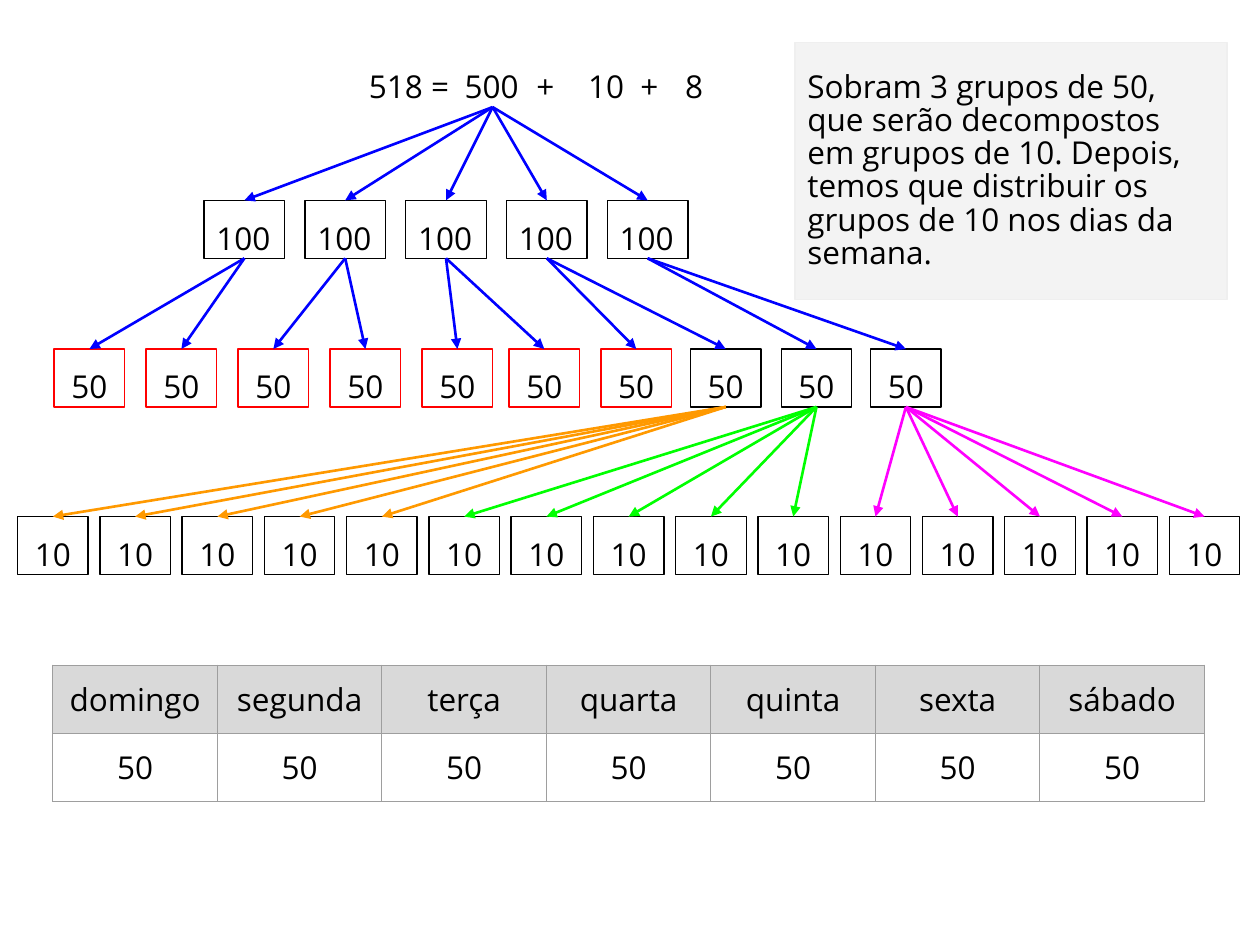
from dataclasses import dataclass
from typing import Optional

from lxml.etree import SubElement
from pptx import Presentation
from pptx.dml.color import RGBColor
from pptx.enum.shapes import MSO_CONNECTOR, MSO_SHAPE
from pptx.enum.text import MSO_ANCHOR, PP_ALIGN
from pptx.oxml.ns import qn
from pptx.util import Inches, Pt

BLACK = RGBColor(0x00, 0x00, 0x00)
RED = RGBColor(0xFF, 0x00, 0x00)
BLUE = RGBColor(0x00, 0x00, 0xFF)
ORANGE = RGBColor(0xFF, 0x99, 0x00)
GREEN = RGBColor(0x00, 0xFF, 0x00)
MAGENTA = RGBColor(0xFF, 0x00, 0xFF)
NOTE_FILL = RGBColor(0xF3, 0xF3, 0xF3)
NOTE_LINE = RGBColor(0xEF, 0xEF, 0xEF)
HEADER_FILL = RGBColor(0xD9, 0xD9, 0xD9)
GRID_LINE = RGBColor(0x9E, 0x9E, 0x9E)

FONT = "Open Sans"
BOX_HEIGHT = 0.46
SUM_TOP = 0.39
DAYS = ["domingo", "segunda", "terça", "quarta", "quinta", "sexta", "sábado"]


@dataclass
class Box:
    text: str
    left: float
    top: float
    width: float
    height: float = BOX_HEIGHT
    line: Optional[RGBColor] = None
    fill: Optional[RGBColor] = None

    @property
    def top_point(self) -> tuple[float, float]:
        return self.left + self.width / 2, self.top

    @property
    def bottom_point(self) -> tuple[float, float]:
        return self.left + self.width / 2, self.top + self.height


def write_text(frame, text: str, *, align=PP_ALIGN.LEFT, spacing: float = 1.15,
               anchor=MSO_ANCHOR.TOP) -> None:
    frame.word_wrap = True
    frame.vertical_anchor = anchor
    frame.margin_left = frame.margin_right = Inches(0.1)
    frame.margin_top = frame.margin_bottom = Inches(0.1)
    para = frame.paragraphs[0]
    para.alignment = align
    para.line_spacing = spacing
    span = para.add_run()
    span.text = text
    span.font.name = FONT
    span.font.size = Pt(18)
    span.font.color.rgb = BLACK


def draw_box(page, box: Box, **text_format) -> None:
    area = [Inches(n) for n in (box.left, box.top, box.width, box.height)]
    if box.line is None:
        shape = page.shapes.add_textbox(*area)
    else:
        shape = page.shapes.add_shape(MSO_SHAPE.RECTANGLE, *area)
        shape.shadow.inherit = False
        shape.line.color.rgb = box.line
        shape.line.width = Pt(0.75)
        if box.fill is None:
            shape.fill.background()
        else:
            shape.fill.solid()
            shape.fill.fore_color.rgb = box.fill
    write_text(shape.text_frame, box.text, **text_format)


def draw_arrow(page, start: Box, end: Box, color: RGBColor) -> None:
    points = [Inches(n) for n in (*start.bottom_point, *end.top_point)]
    arrow = page.shapes.add_connector(MSO_CONNECTOR.STRAIGHT, *points)
    arrow.line.color.rgb = color
    arrow.line.width = Pt(1.5)
    SubElement(arrow.line._get_or_add_ln(), qn("a:tailEnd"), type="triangle")
    SubElement(arrow._element.spPr, qn("a:effectLst"))


def draw_cell_borders(cell) -> None:
    properties = cell._tc.get_or_add_tcPr()
    for position, side in enumerate(("a:lnL", "a:lnR", "a:lnT", "a:lnB")):
        line = SubElement(properties, qn(side), w=str(Pt(0.75)))
        fill = SubElement(line, qn("a:solidFill"))
        SubElement(fill, qn("a:srgbClr"), val=str(GRID_LINE))
        properties.insert(position, line)


def draw_week_table(page) -> None:
    rows = [DAYS, ["50"] * len(DAYS)]
    frame = page.shapes.add_table(len(rows), len(DAYS), Inches(0.42), Inches(5.28),
                                  Inches(9.14), Inches(1.08))
    table = frame.table
    table.horz_banding = False
    for row_index, row in enumerate(rows):
        for column_index, text in enumerate(row):
            cell = table.cell(row_index, column_index)
            write_text(cell.text_frame, text, align=PP_ALIGN.CENTER, spacing=1.0)
            cell.margin_left = cell.margin_right = Inches(0.1)
            cell.margin_top = cell.margin_bottom = Inches(0.1)
            if row_index == 0:
                cell.fill.solid()
                cell.fill.fore_color.rgb = HEADER_FILL
            else:
                cell.fill.background()
            draw_cell_borders(cell)


def main() -> None:
    deck = Presentation()
    deck.slide_width, deck.slide_height = Inches(10), Inches(7.5)
    page = deck.slides.add_slide(deck.slide_layouts[6])

    # Sum at the top
    five_hundred = Box("500", 3.59, SUM_TOP, 0.64)
    sum_parts = [
        Box("518 =", 2.83, SUM_TOP, 0.86),
        five_hundred,
        Box("+", 4.16, SUM_TOP, 0.37),
        Box("10  +", 4.57, SUM_TOP, 0.77),
        Box("8", 5.34, SUM_TOP, 0.77),
    ]

    # Rows of hundreds, fifties and tens; the fifties already shared out are red
    hundreds = [Box("100", 1.62 + 0.8 * i, 1.59, 0.64, line=BLACK) for i in range(5)]
    fifty_lefts = [0.43 + 0.73 * i for i in range(5)] + [4.04, 4.77, 5.48, 6.2, 6.91]
    fifties = [Box("50", left, 2.77, 0.56, line=RED if i < len(DAYS) else BLACK)
               for i, left in enumerate(fifty_lefts)]
    tens_gap = (9.28 - 0.14) / 14
    tens = [Box("10", 0.14 + tens_gap * i, 4.1, 0.56, line=BLACK) for i in range(15)]

    for box in sum_parts + hundreds:
        draw_box(page, box)
    for box in fifties + tens:
        draw_box(page, box, align=PP_ALIGN.CENTER)

    # Explanation
    note = Box("Sobram 3 grupos de 50, que serão decompostos em grupos de 10. "
               "Depois, temos que distribuir os grupos de 10 nos dias da semana.",
               6.31, 0.34, 3.43, 2.04, line=NOTE_LINE, fill=NOTE_FILL)
    draw_box(page, note, spacing=0.88, anchor=MSO_ANCHOR.MIDDLE)

    # Arrows from each number to its parts
    for hundred in hundreds:
        draw_arrow(page, five_hundred, hundred, BLUE)
    for i, fifty in enumerate(fifties):
        draw_arrow(page, hundreds[i // 2], fifty, BLUE)
    left_over = fifties[len(DAYS):]
    for i, ten in enumerate(tens):
        draw_arrow(page, left_over[i // 5], ten, (ORANGE, GREEN, MAGENTA)[i // 5])

    # Days of the week
    draw_week_table(page)

    deck.save("out.pptx")


if __name__ == "__main__":
    main()
